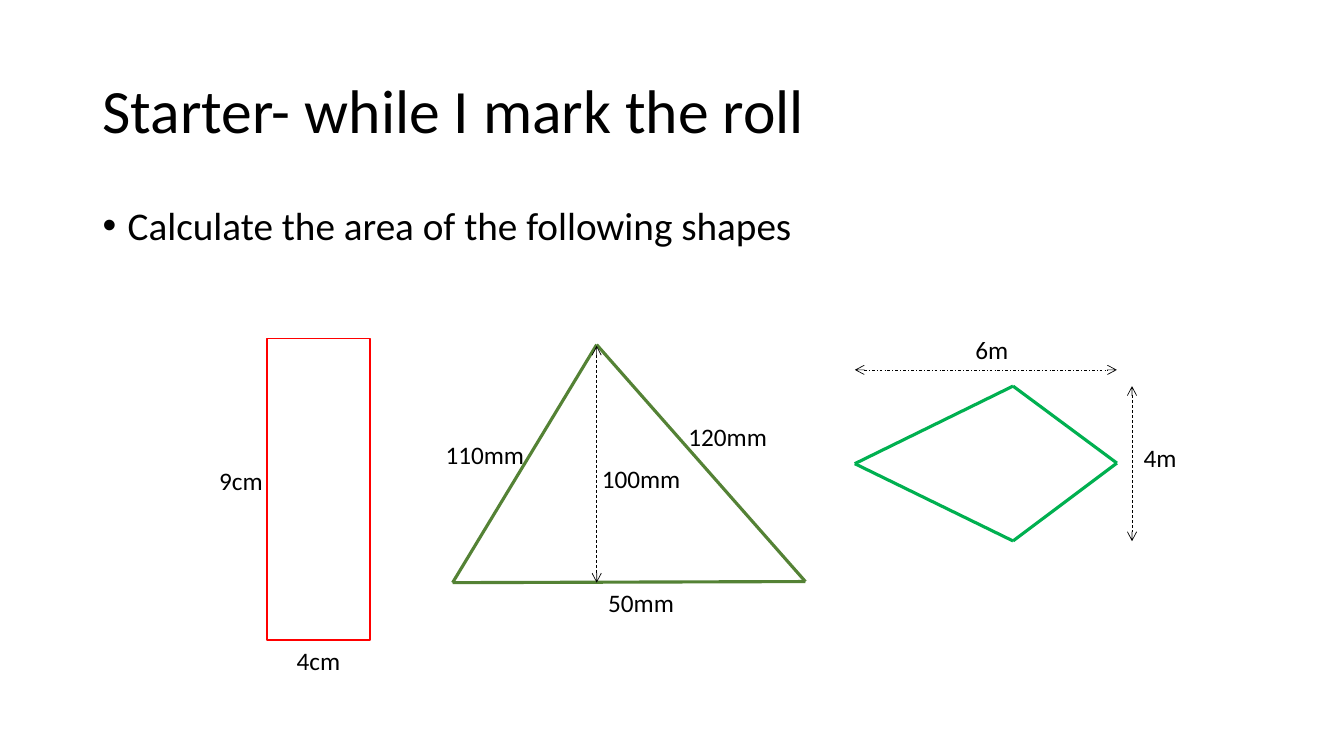
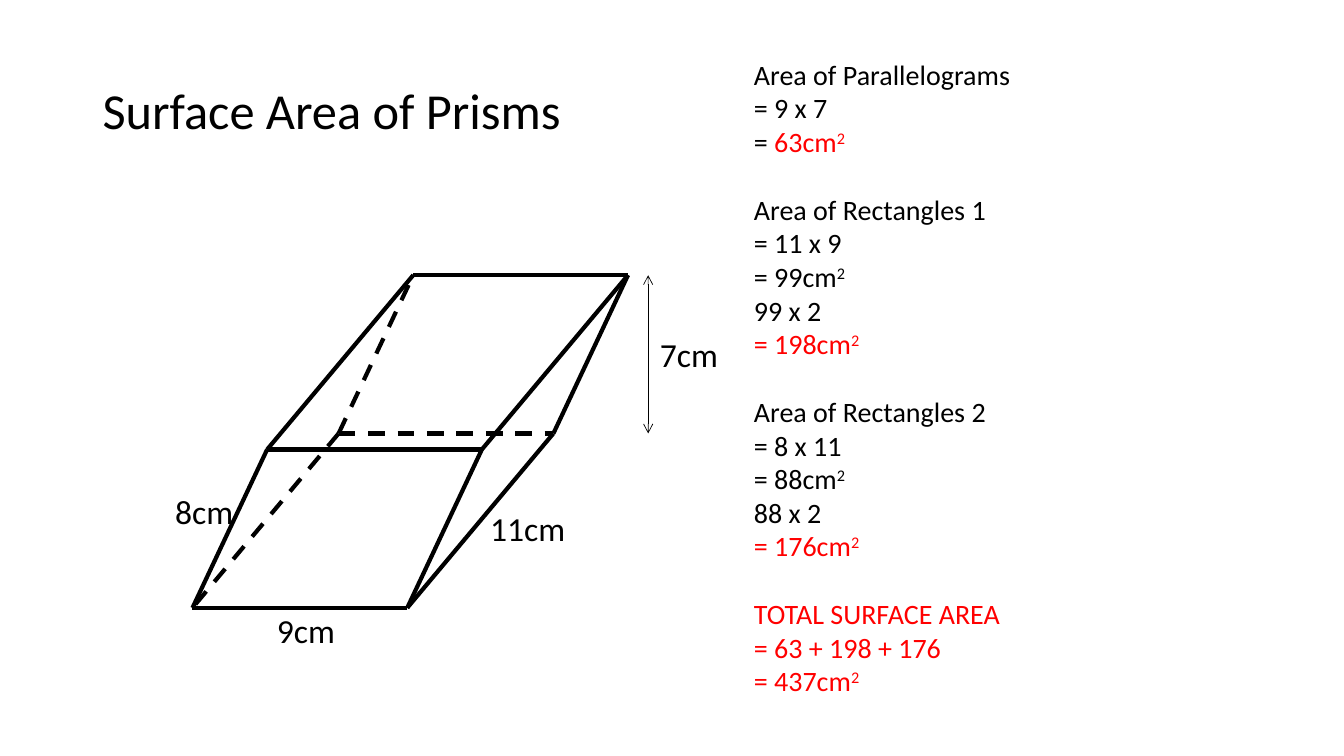
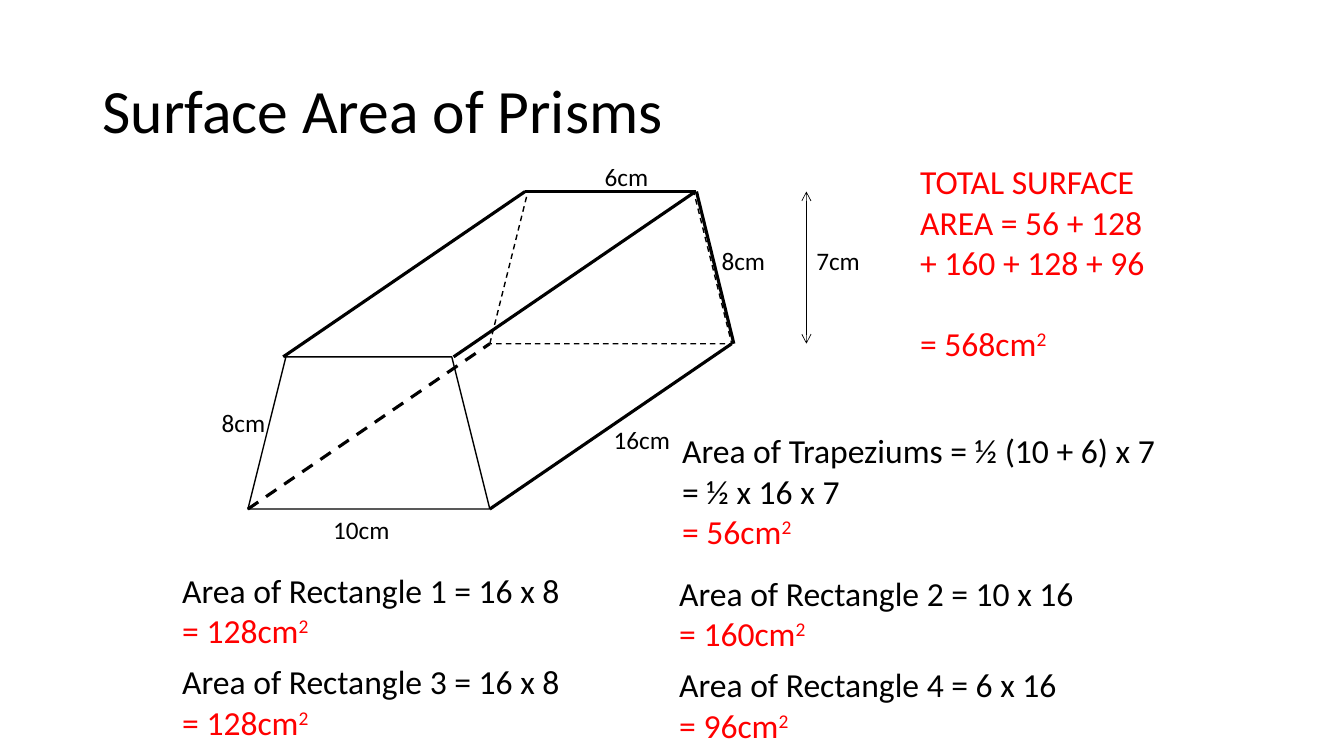
from itertools import product
from lxml import etree
from pptx import Presentation
from pptx.dml.color import RGBColor
from pptx.enum import dml, shapes, text
from pptx.oxml.ns import qn
from pptx.util import Pt

BLACK, WHITE, RED = "000000", "FFFFFF", "FF0000"
OLIVE, GREEN = "548235", "00B050"
DASH, DOT = dml.MSO_LINE.DASH, dml.MSO_LINE.DASH_DOT
MID = text.PP_ALIGN.CENTER


def color(code):
    return RGBColor.from_string(code)


def assign(item, values):
    for name, value in values.items():
        setattr(item, name, value)


def shift(point, by):
    return point[0] + by[0], point[1] + by[1]


class Deck:
    """Shared style and the slide being drawn; lengths are in points."""

    FONT = "Calibri"
    TITLE = (66.2, 28.8, 828, 104.4)

    def __init__(self):
        self.show = Presentation()
        assign(self.show, dict(slide_width=Pt(960), slide_height=Pt(540)))
        self.slide = None

    def page(self, title, size=44):
        self.slide = self.show.slides.add_slide(self.show.slide_layouts[6])
        frame = self.prose([[title]], *self.TITLE, size, spacing=0.9)
        frame.vertical_anchor = text.MSO_ANCHOR.MIDDLE

    def prose(self, groups, x, y, w, h, size, **form):
        """Each group is a list of lines; * turns red on, ^ raises the rest."""
        box = self.slide.shapes.add_textbox(Pt(x), Pt(y), Pt(w), Pt(h))
        frame = box.text_frame
        frame.word_wrap = True
        gap = size * 1.22
        for i, group in enumerate(groups):
            for j, line in enumerate(group):
                first = i == j == 0
                para = frame.paragraphs[0] if first else frame.add_paragraph()
                if i and not j:
                    para.space_before = Pt(gap)
                self.fill(para, line, size, **form)
        return frame

    def fill(self, para, line, size, align=None, spacing=None, bullet=False):
        if bullet:
            props = para._p.get_or_add_pPr()
            props.set("marL", str(Pt(18)))
            props.set("indent", str(-Pt(18)))
            etree.SubElement(props, qn("a:buFont")).set("typeface", "Arial")
            etree.SubElement(props, qn("a:buChar")).set("char", "•")
        assign(para, dict(alignment=align, line_spacing=spacing))
        plain, star, red = line.partition("*")
        for part, code in ((plain, BLACK), (red, RED)):
            base, mark, power = part.partition("^")
            for words, raised in ((base, False), (power, True)):
                if words:
                    run = para.add_run()
                    run.text = words
                    assign(run.font, dict(name=self.FONT, size=Pt(size)))
                    run.font.color.rgb = color(code)
                    if raised:
                        run._r.get_or_add_rPr().set("baseline", "30000")

    def label(self, words, x, y, w=73.4, size=18, align=MID):
        self.prose([[words]], x, y, w, size * 1.2 + 7.2, size, align=align)

    def stroke(self, item, code, width, dash=None):
        item.line.color.rgb = color(code)
        assign(item.line, dict(width=Pt(width), dash_style=dash))

    def line(self, start, end, code=BLACK, width=3, dash=None):
        ends = [Pt(v) for v in (*start, *end)]
        link = self.slide.shapes.add_connector(shapes.MSO_CONNECTOR.STRAIGHT, *ends)
        self.stroke(link, code, width, dash)
        etree.SubElement(link._element.spPr, qn("a:effectLst"))
        return link

    def span(self, start, end, dash=None):
        """Thin measuring line with an arrow at both ends."""
        link = self.line(start, end, width=0.5, dash=dash)
        edge = link._element.spPr.find(qn("a:ln"))
        for tag in ("a:headEnd", "a:tailEnd"):
            etree.SubElement(edge, qn(tag)).set("type", "arrow")

    def ring(self, points, code):
        for start, end in zip(points, points[1:] + points[:1]):
            self.line(start, end, code, 2.25)

    def shape(self, kind, x, y, w, h, code=BLACK, back=None, dash=None):
        item = self.slide.shapes.add_shape(kind, Pt(x), Pt(y), Pt(w), Pt(h))
        item.shadow.inherit = False
        if back:
            item.fill.solid()
            item.fill.fore_color.rgb = color(back)
        else:
            item.fill.background()
        self.stroke(item, code, 1, dash)


def starter(deck):
    deck.page("Starter- while I mark the roll")
    deck.prose([["Calculate the area of the following shapes"]],
               66.2, 144, 828, 342.7, 28, spacing=0.9, bullet=True)

    # Rectangle, triangle and kite
    deck.shape(shapes.MSO_SHAPE.RECTANGLE, 190.8, 241.9, 73.4, 215.3, RED, WHITE)
    deck.ring([(426.2, 246.2), (575.3, 415.4), (323.3, 416.2)], OLIVE)
    deck.ring([(610.6, 331.2), (723.6, 275.8), (797.8, 330.8), (723.6, 386.4)], GREEN)

    # Measures
    deck.span((426.2, 247), (426.2, 416.2), DASH)
    deck.span((808.6, 275.8), (808.6, 386.6), DASH)
    deck.span((610.6, 264.2), (797.8, 264.2), DOT)
    for words, x, y in (
        ("4cm", 190.8, 457.2), ("9cm", 135.4, 329),
        ("50mm", 421.2, 416.2), ("110mm", 309.6, 310.3),
        ("120mm", 483.1, 297.4), ("100mm", 421.2, 327.6),
        ("6m", 671.8, 235.4), ("4m", 792, 312.5),
    ):
        deck.label(words, x, y)


def slanted(deck):
    deck.page("Surface Area of Prisms", 36)

    # Prism: front face, back face and the edges between; edges at the hidden corner are dashed
    front = [(190.8, 321.1), (344.2, 321.1), (290.9, 434.2), (137.5, 434.2)]
    back = [shift(p, (104.4, -124.6)) for p in front]
    hidden = back[3]
    edges = list(zip(front, back))
    for face in (front, back):
        edges += zip(face, face[1:] + face[:1])
    for start, end in edges:
        if start == hidden:
            start, end = end, start
        if end == hidden:
            deck.line(hidden, start, dash=DASH)
        else:
            deck.line(start, end)

    # Measures
    deck.span((463, 196.6), (463, 309.6))
    for words, x, y in (("9cm", 167, 432), ("8cm", 94.3, 347),
                        ("11cm", 325.4, 359.3), ("7cm", 440.6, 234.7)):
        deck.label(words, x, y, 103, 24)

    # Working
    deck.prose([
        ["Area of Parallelograms", "= 9 x 7", "= *63cm^2"],
        ["Area of Rectangles 1", "= 11 x 9", "= 99cm^2", "99 x 2", "*= 198cm^2"],
        ["Area of Rectangles 2", "= 8 x 11", "= 88cm^2", "88 x 2", "*= 176cm^2"],
        ["*TOTAL SURFACE AREA", "*= 63 + 198 + 176", "*= 437cm^2"],
    ], 531.4, 37.4, 308.9, 468, 20)


def trapezium(deck):
    deck.page("Surface Area of Prisms")

    # Prism
    corner, depth = (177.1, 254.9), (172.8, -118.1)
    for spot, dash in ((corner, None), (shift(corner, depth), DASH)):
        deck.shape(shapes.MSO_SHAPE.TRAPEZOID, *spot, 172.8, 108.7, dash=dash)
    for x, y, dash in ((202.3, 254.9, None), (177.1, 363.6, DASH),
                       (324, 254.9, None), (349.9, 363.6, None)):
        deck.line((x, y), shift((x, y), depth), width=2.25, dash=dash)
    deck.line((375.1, 136.8), (496.8, 136.8), width=2.25)
    deck.line((497.5, 136.8), (524.2, 245.5), width=2.25)

    # Measures
    deck.span((576, 136.8), (576, 245.5))
    for words, x, y in (("10cm", 206.6, 363.6), ("6cm", 396, 111.6),
                        ("8cm", 122.4, 287.3), ("8cm", 479.5, 171.4)):
        deck.label(words, x, y, 103)
    for words, x, y in (("16cm", 431.3, 299.5), ("7cm", 576, 171.4)):
        deck.label(words, x, y, 88.6, align=None)

    # Working
    deck.prose([["Area of Trapeziums = ½ (10 + 6) x 7", "= ½ x 16 x 7", "*= 56cm^2"]],
               480.2, 303.8, 355, 94.3, 24)
    sums = (("16 x 8", 128), ("10 x 16", 160), ("16 x 8", 128), ("6 x 16", 96))
    cells = product(range(2), range(2))
    for i, ((row, col), (sides, area)) in enumerate(zip(cells, sums), 1):
        deck.prose([[f"Area of Rectangle {i} = {sides}", f"*= {area}cm^2"]],
                   123.1 + 355 * col, 403.2 + 65.5 * row + 2.2 * col, 355, 65.5, 24)
    deck.prose([["*TOTAL SURFACE AREA = 56 + 128 + 160 + 128 + 96"], ["*= 568cm^2"]],
               650.2, 111.6, 185, 152.6, 24)


def main():
    deck = Deck()
    for draw in (starter, slanted, trapezium):
        draw(deck)
    deck.show.save("out.pptx")


if __name__ == "__main__":
    main()
